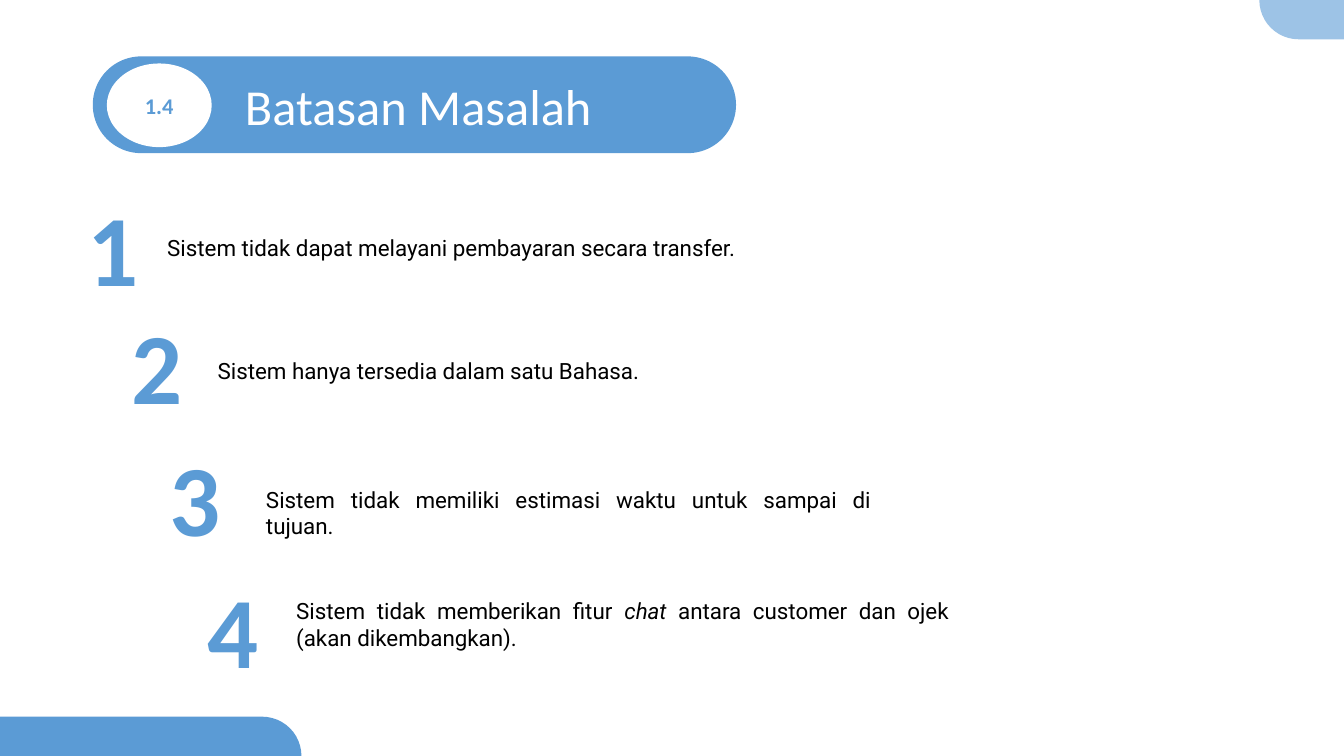
"""Build the "Batasan Masalah" slide: a title pill and four stepped limitations."""
from pptx import Presentation
from pptx.dml.color import RGBColor
from pptx.enum.shapes import MSO_SHAPE as SHAPE
from pptx.enum.text import MSO_ANCHOR as ANCHOR, MSO_AUTO_SIZE as AUTO, PP_ALIGN as ALIGN
from pptx.util import Inches, Pt

BLUE = RGBColor(0x5B, 0x9B, 0xD5)
PALE = RGBColor(0x9D, 0xC3, 0xE6)
WHITE = RGBColor(0xFF, 0xFF, 0xFF)
BLACK = RGBColor(0, 0, 0)

NUMBER = {"name": "Calibri", "size": Pt(72), "bold": True}
BADGE = {"name": "Calibri", "size": Pt(16), "bold": True}
TITLE = {"name": "Calibri", "size": Pt(36), "bold": False}
BODY = {"name": "Roboto", "size": Pt(16)}


def add_panel(kind, box, color):
    sp = s.shapes.add_shape(kind, *map(Inches, box))
    sp.shadow.inherit = False
    sp.fill.solid()
    sp.fill.fore_color.rgb = color
    sp.line.fill.background()
    if kind == SHAPE.ROUNDED_RECTANGLE:
        sp.adjustments[0] = 0.5
    return sp


def write(sp, runs, style, color, align, anchor=ANCHOR.TOP):
    tf = sp.text_frame
    tf.word_wrap = True
    tf.auto_size = AUTO.NONE
    tf.vertical_anchor = anchor
    p = tf.paragraphs[0]
    p.alignment = align
    for text, italic in runs:
        r = p.add_run()
        r.text = text
        for key, value in style.items():
            setattr(r.font, key, value)
        r.font.italic = italic
        r.font.color.rgb = color
    return tf


prs = Presentation()
prs.slide_width, prs.slide_height = Inches(13.33), Inches(7.5)
s = prs.slides.add_slide(prs.slide_layouts[5])

for box, color in [
    ((-0.41, 7.11, 3.4, 0.78), BLUE),
    ((0.92, 0.56, 6.38, 0.96), BLUE),
    ((12.49, -0.39, 1.35, 0.78), PALE),
]:
    add_panel(SHAPE.ROUNDED_RECTANGLE, box, color)

title = s.shapes.title
title.left, title.top, title.width, title.height = map(Inches, (2.1, 0.69, 4.51, 0.78))
tf = write(title, [("Batasan Masalah", False)], TITLE, WHITE, ALIGN.LEFT, ANCHOR.MIDDLE)
tf.margin_left = Inches(0.33)
tf.paragraphs[0].line_spacing = 0.9
s.shapes._spTree.append(title._element)

badge = add_panel(SHAPE.OVAL, (1.06, 0.63, 1.04, 0.83), WHITE)
write(badge, [("1.4", False)], BADGE, BLUE, ALIGN.CENTER, ANCHOR.MIDDLE)

limits = [
    ((0.77, 1.79), (1.56, 2.27, 5.93, 0.37),
     [("Sistem tidak dapat melayani pembayaran secara transfer.", False)]),
    ((1.21, 2.96), (2.06, 3.49, 4.47, 0.37),
     [("Sistem hanya tersedia dalam satu Bahasa.", False)]),
    ((1.58, 4.27), (2.54, 4.77, 6.2, 0.64),
     [("Sistem tidak memiliki estimasi waktu untuk sampai di tujuan.", False)]),
    ((1.96, 5.58), (2.84, 5.88, 6.67, 0.64),
     [("Sistem tidak memberikan fitur ", False), ("chat ", True),
      ("antara customer dan ojek (akan dikembangkan).", False)]),
]
for number, (corner, box, runs) in enumerate(limits, 1):
    digit = s.shapes.add_textbox(*map(Inches, (*corner, 0.96, 1.31)))
    write(digit, [(str(number), False)], NUMBER, BLUE, ALIGN.JUSTIFY)
    body = s.shapes.add_textbox(*map(Inches, box))
    write(body, runs, BODY, BLACK, ALIGN.JUSTIFY)

prs.save("out.pptx")
